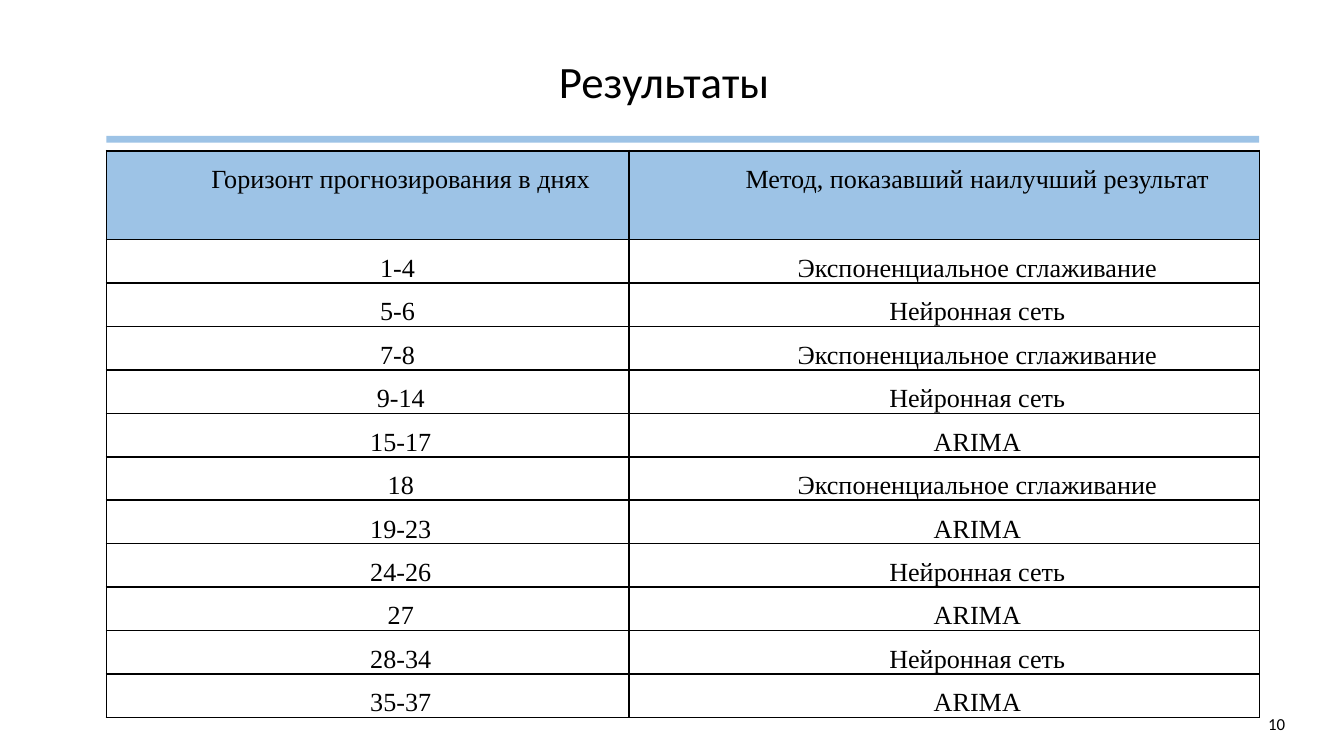
from dataclasses import dataclass

from lxml import etree
from pptx import Presentation
from pptx.dml.color import RGBColor
from pptx.enum.shapes import MSO_SHAPE
from pptx.enum.text import MSO_ANCHOR, PP_ALIGN
from pptx.oxml.ns import qn
from pptx.util import Cm, Pt

RECTANGLE = MSO_SHAPE.RECTANGLE
CENTER, RIGHT = PP_ALIGN.CENTER, PP_ALIGN.RIGHT
TOP, MIDDLE = MSO_ANCHOR.TOP, MSO_ANCHOR.MIDDLE

HEADINGS = ("Горизонт прогнозирования в днях", "Метод, показавший наилучший результат")
SMOOTHING = "Экспоненциальное сглаживание"
NEURAL = "Нейронная сеть"
ARIMA = "ARIMA"
RESULTS = [
    ("1-4 ", SMOOTHING),
    ("5-6 ", NEURAL),
    ("7-8 ", SMOOTHING),
    ("9-14", NEURAL),
    ("15-17", ARIMA),
    ("18", SMOOTHING),
    ("19-23", ARIMA),
    ("24-26", NEURAL),
    ("27", ARIMA),
    ("28-34", NEURAL),
    ("35-37", ARIMA),
]


@dataclass(frozen=True)
class Theme:
    ink: RGBColor = RGBColor(0x00, 0x00, 0x00)
    accent: RGBColor = RGBColor(0x9D, 0xC3, 0xE6)
    heading_font: str = "Calibri"
    table_font: str = "Times New Roman"
    title_size: int = 24
    table_size: int = 14
    table_line_height: float = 23.25
    number_size: int = 9
    border: int = 1


class SlideBuilder:
    def __init__(self, slide, theme):
        self.slide = slide
        self.theme = theme

    def format_text(self, frame, size, font_name, align, line_spacing):
        """Style the runs and the paragraph ends, which also affect line height."""
        for paragraph in frame.paragraphs:
            paragraph.alignment = align
            paragraph.line_spacing = line_spacing
            for run in paragraph.runs:
                run.font.size = Pt(size)
                run.font.name = font_name
                run.font.color.rgb = self.theme.ink
            end = etree.SubElement(paragraph._p, qn("a:endParaRPr"), sz=str(size * 100))
            etree.SubElement(end, qn("a:latin"), typeface=font_name)

    def text(self, content, box, size, align, anchor=TOP, line_spacing=1.0, inset=0.25):
        frame = self.slide.shapes.add_textbox(*map(Cm, box)).text_frame
        frame.word_wrap = True
        frame.vertical_anchor = anchor
        frame.margin_top = frame.margin_bottom = Cm(inset)
        frame.text = content
        self.format_text(frame, size, self.theme.heading_font, align, line_spacing)

    def bar(self, box):
        bar = self.slide.shapes.add_shape(RECTANGLE, *map(Cm, box))
        bar.shadow.inherit = False
        bar.fill.solid()
        bar.fill.fore_color.rgb = self.theme.accent
        bar.line.fill.background()

    def table(self, rows, left, top, widths, heights):
        table = self.slide.shapes.add_table(
            len(rows), len(widths), Cm(left), Cm(top), Cm(sum(widths)), Cm(sum(heights))
        ).table
        table.horz_banding = False
        for column, width in zip(table.columns, widths):
            column.width = Cm(width)
        for row, height in zip(table.rows, heights):
            row.height = Cm(height)
        for r, values in enumerate(rows):
            for c, value in enumerate(values):
                self.cell(table.cell(r, c), value, is_heading=r == 0)

    def cell(self, cell, value, is_heading):
        theme = self.theme
        cell.margin_left = cell.margin_right = Cm(0.18)
        cell.margin_top = cell.margin_bottom = 0
        cell.text_frame.text = value
        self.format_text(cell.text_frame, theme.table_size, theme.table_font, CENTER,
                         Pt(theme.table_line_height))
        properties = cell.text_frame.paragraphs[0]._p.get_or_add_pPr()
        properties.set("marL", "0")
        properties.set("indent", str(Cm(1.25)))
        self.cell_borders(cell)
        if is_heading:
            cell.fill.solid()
            cell.fill.fore_color.rgb = theme.accent
        else:
            cell.fill.background()

    def cell_borders(self, cell):
        properties = cell._tc.get_or_add_tcPr()
        for side in ("a:lnL", "a:lnR", "a:lnT", "a:lnB"):
            line = etree.SubElement(properties, qn(side), w=str(Pt(self.theme.border)))
            fill = etree.SubElement(line, qn("a:solidFill"))
            etree.SubElement(fill, qn("a:srgbClr"), val=str(self.theme.ink))


def main():
    presentation = Presentation()
    presentation.slide_width, presentation.slide_height = Cm(25.4), Cm(14.29)
    slide = presentation.slides.add_slide(presentation.slide_layouts[6])
    theme = Theme()
    builder = SlideBuilder(slide, theme)

    left, widths = 2.01, (9.88, 11.91)
    builder.text("Результаты", (1.6, 0.89, 21.9, 2.77), theme.title_size, CENTER,
                 line_spacing=0.9)
    builder.text("10", (18.82, 13.31, 5.72, 0.76), theme.number_size, RIGHT, MIDDLE,
                 inset=0.13)
    builder.bar((left, 2.57, sum(widths), 0.13))
    heights = [1.68] + [0.79] * len(RESULTS)
    builder.table([HEADINGS] + RESULTS, left, 2.85, widths, heights)

    presentation.save("out.pptx")


if __name__ == "__main__":
    main()
